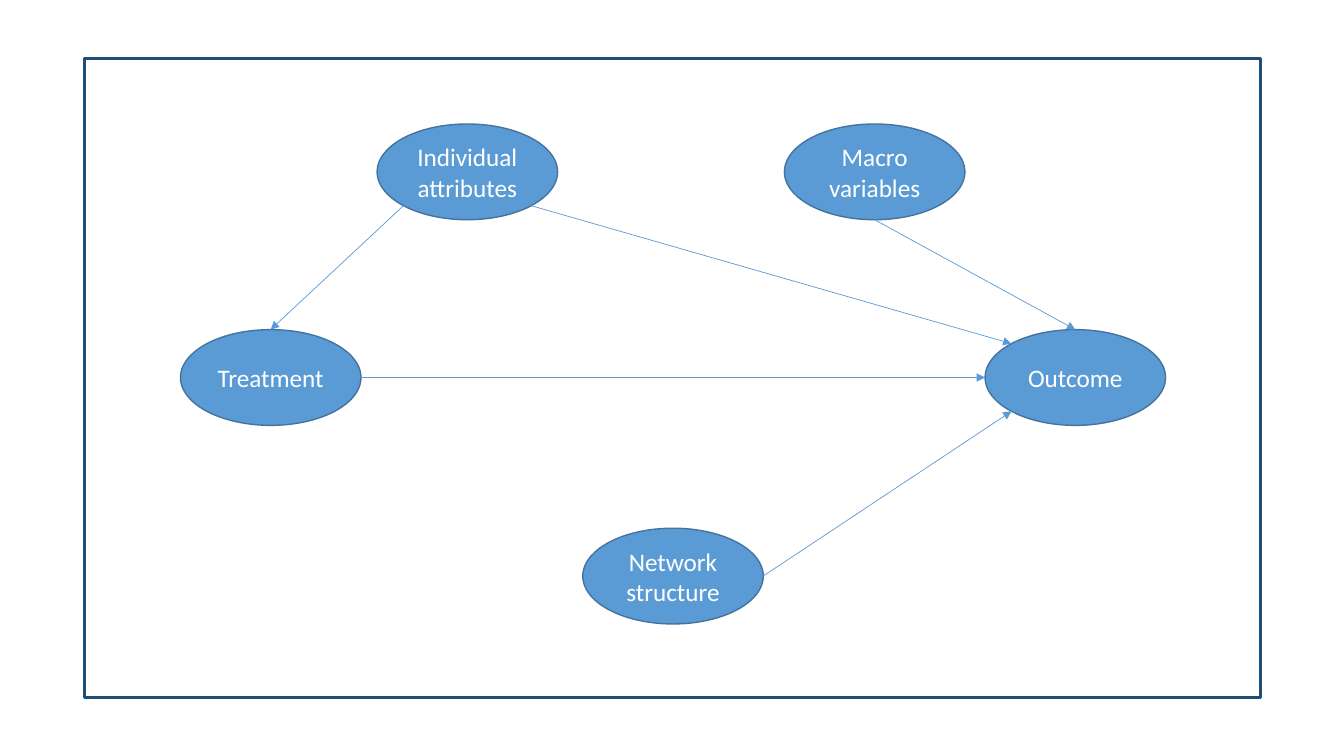
from dataclasses import dataclass
from math import sqrt

from lxml import etree
from pptx import Presentation
from pptx.dml.color import RGBColor
from pptx.enum import shapes, text
from pptx.oxml.ns import qn
from pptx.util import Inches, Pt


@dataclass(frozen=True)
class Theme:
    node_fill: RGBColor = RGBColor.from_string("5B9BD5")
    node_edge: RGBColor = RGBColor.from_string("43739E")
    frame_edge: RGBColor = RGBColor.from_string("1F4E79")
    label: RGBColor = RGBColor.from_string("FFFFFF")
    font: str = "Calibri"
    label_size: float = 18
    node_line: float = 1
    arrow_line: float = 0.5
    frame_line: float = 2.25


theme = Theme()

NODE_WIDTH, NODE_HEIGHT = 1.79, 0.95
FRAME = (0.84, 0.58, 11.66, 6.34)
TOP_ROW, MIDDLE_ROW, BOTTOM_ROW = 1.23, 3.27, 5.24

factors = {
    "Treatment": (1.79, MIDDLE_ROW),
    "Network structure": (5.78, BOTTOM_ROW),
    "Macro variables": (7.78, TOP_ROW),
    "Individual attributes": (3.74, TOP_ROW),
    "Outcome": (9.77, MIDDLE_ROW),
}

effects = [
    ("Individual attributes", "bottom left", "Treatment", "top"),
    ("Individual attributes", "bottom right", "Outcome", "top left"),
    ("Macro variables", "bottom", "Outcome", "top"),
    ("Network structure", "right", "Outcome", "bottom left"),
    ("Treatment", "right", "Outcome", "left"),
]

DIAGONAL = sqrt(0.5)
SITES = {
    "top": (0, 0, -1),
    "top left": (1, -DIAGONAL, -DIAGONAL),
    "left": (2, -1, 0),
    "bottom left": (3, -DIAGONAL, DIAGONAL),
    "bottom": (4, 0, 1),
    "bottom right": (5, DIAGONAL, DIAGONAL),
    "right": (6, 1, 0),
}


def site_point(factor, site):
    left, top = factors[factor]
    _, dx, dy = SITES[site]
    return (Inches(left + NODE_WIDTH / 2 * (1 + dx)),
            Inches(top + NODE_HEIGHT / 2 * (1 + dy)))


def add_outline(shape, color, width):
    shape.line.color.rgb = color
    shape.line.width = Pt(width)


def add_factor(diagram, label, left, top):
    node = diagram.shapes.add_shape(
        shapes.MSO_SHAPE.OVAL,
        *map(Inches, (left, top, NODE_WIDTH, NODE_HEIGHT)))
    node.shadow.inherit = False
    node.fill.solid()
    node.fill.fore_color.rgb = theme.node_fill
    add_outline(node, theme.node_edge, theme.node_line)
    frame = node.text_frame
    frame.word_wrap = True
    frame.vertical_anchor = text.MSO_ANCHOR.MIDDLE
    frame.text = label
    paragraph = frame.paragraphs[0]
    paragraph.alignment = text.PP_ALIGN.CENTER
    paragraph.font.name = theme.font
    paragraph.font.size = Pt(theme.label_size)
    paragraph.font.color.rgb = theme.label
    return node


def add_effect(diagram, nodes, cause, cause_site, result, result_site):
    arrow = diagram.shapes.add_connector(
        shapes.MSO_CONNECTOR.STRAIGHT,
        *site_point(cause, cause_site), *site_point(result, result_site))
    add_outline(arrow, theme.node_fill, theme.arrow_line)
    etree.SubElement(arrow.line._get_or_add_ln(), qn("a:tailEnd"), type="triangle")
    etree.SubElement(arrow._element.spPr, qn("a:effectLst"))
    links = arrow._element.find(".//" + qn("p:cNvCxnSpPr"))
    for tag, factor, site in (("a:stCxn", cause, cause_site),
                              ("a:endCxn", result, result_site)):
        etree.SubElement(links, qn(tag), id=str(nodes[factor].shape_id),
                         idx=str(SITES[site][0]))


deck = Presentation()
deck.slide_width, deck.slide_height = Inches(13.33), Inches(7.5)
slide = deck.slides.add_slide(deck.slide_layouts.get_by_name("Blank"))
diagram = slide.shapes.add_group_shape()

nodes = {label: add_factor(diagram, label, *corner)
         for label, corner in factors.items()}
for effect in effects:
    add_effect(diagram, nodes, *effect)

border = diagram.shapes.add_shape(shapes.MSO_SHAPE.RECTANGLE, *map(Inches, FRAME))
border.shadow.inherit = False
border.fill.background()
add_outline(border, theme.frame_edge, theme.frame_line)

deck.save("out.pptx")
